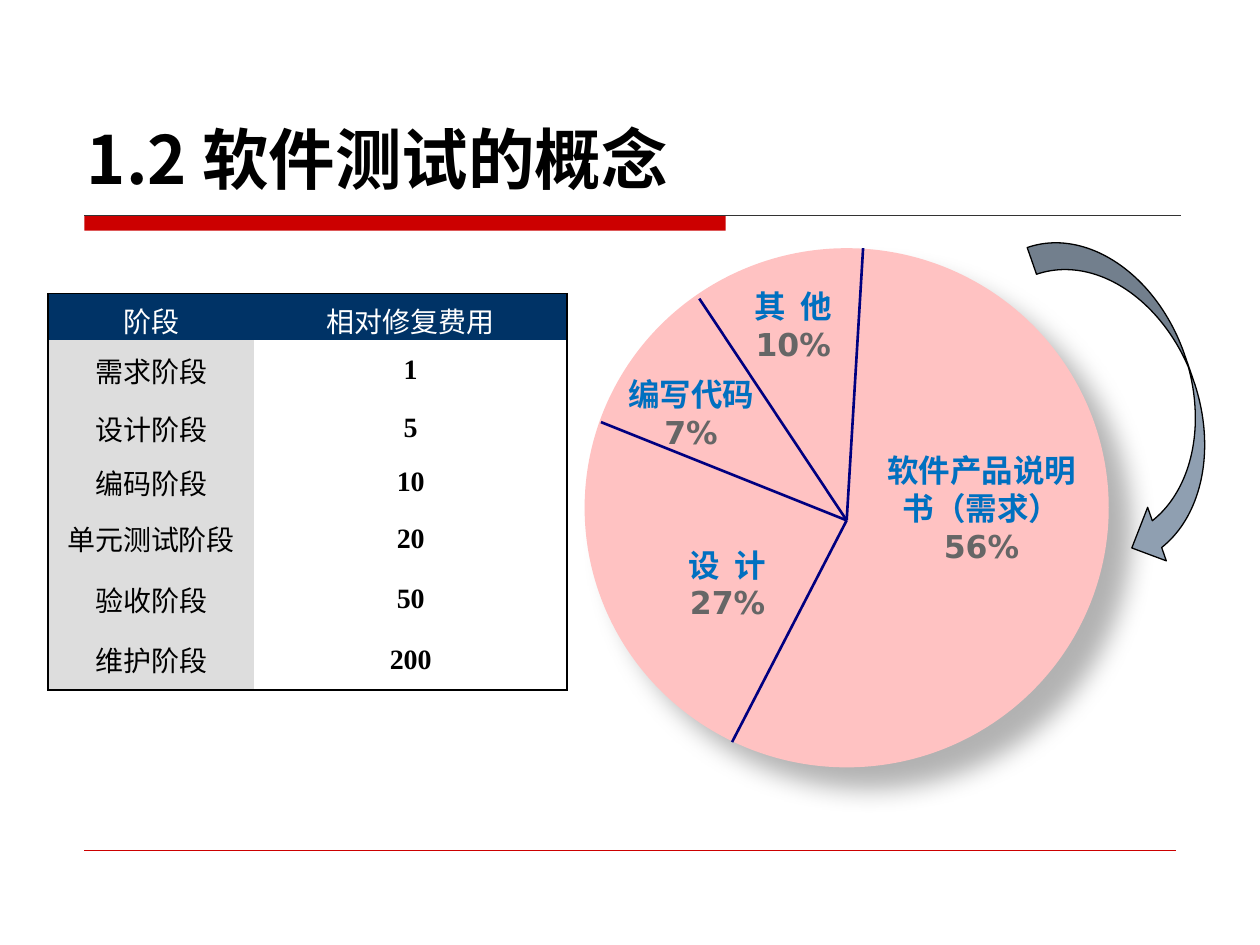
import pptx
import pptx.util
import pptx.dml.color
import pptx.enum.shapes
import pptx.enum.text
import pptx.oxml
import pptx.oxml.ns

COLORS = {"red": "CC0000", "rule": "333333", "pie": "FFC2C2", "slice": "000080",
          "label": "0070C0", "percent": "666666", "arrow": "8F9FB1", "head": "003366",
          "stage": "DDDDDD", "white": "FFFFFF", "black": "000000"}
RGB = {k: pptx.dml.color.RGBColor.from_string(v) for k, v in COLORS.items()}
CJK = "Noto Sans CJK SC"
NS = pptx.oxml.ns.nsdecls("a")
SHAPE = pptx.enum.shapes.MSO_SHAPE
CENTER = pptx.enum.text.PP_ALIGN.CENTER
MIDDLE = pptx.enum.text.MSO_ANCHOR.MIDDLE

prs = pptx.Presentation()
prs.slide_width, prs.slide_height = pptx.util.Inches(10), pptx.util.Inches(7.5)
s = prs.slides.add_slide(prs.slide_layouts[5])


def grid(*cells):
    """Lengths on a grid of 100 columns by 75 rows."""
    return [int(c * prs.slide_width / 100) for c in cells]


def write(p, text, color, **fmt):
    r = p.add_run()
    r.text = text
    r.font.color.rgb = RGB[color]
    for name, value in fmt.items():
        setattr(r.font, name, value)
    r.font._element.append(pptx.oxml.parse_xml(f'<a:ea {NS} typeface="{CJK}"/>'))


# Title
title = s.shapes.title
title.left, title.top, title.width, title.height = grid(5.9, 8.8, 50.2, 7.4)
tf = title.text_frame
tf.word_wrap = False
tf.auto_size = pptx.enum.text.MSO_AUTO_SIZE.NONE
tf.vertical_anchor = MIDDLE
p = tf.paragraphs[0]
p.alignment = pptx.enum.text.PP_ALIGN.LEFT
write(p, "1.2 软件测试的概念", "black", name=CJK, size=pptx.util.Pt(38), bold=True)

# Filled shapes: title bar, pie disc, curved arrow
shapes = {}
for key, kind, box, color in [
        ("bar", SHAPE.RECTANGLE, (6.7, 17.1, 50.9, 1.2), "red"),
        ("disc", SHAPE.OVAL, (46.4, 19.7, 41.6, 41.2), "pie"),
        ("arrow", SHAPE.CURVED_LEFT_ARROW, (85.8, 17.4, 9, 27.5), "arrow")]:
    sp = shapes[key] = s.shapes.add_shape(kind, *grid(*box))
    sp.shadow.inherit = False
    sp.fill.solid()
    sp.fill.fore_color.rgb = RGB[color]
    sp.line.fill.background()
shapes["arrow"].rotation = 340.8
shapes["arrow"].line.color.rgb = RGB["black"]
shapes["arrow"].line.width = pptx.util.Pt(0.75)
effects = shapes["disc"]._element.spPr.find(pptx.oxml.ns.qn("a:effectLst"))
effects.append(pptx.oxml.parse_xml(
    f'<a:outerShdw {NS} blurRad="{pptx.util.Pt(15)}" dist="{pptx.util.Pt(18)}" dir="2700000">'
    f'<a:srgbClr val="{COLORS["black"]}"><a:alpha val="30000"/></a:srgbClr></a:outerShdw>'))

# Rules and slice borders
hub = (67.2, 41.3)
lines = [((6.7, 17.1), (93.7, 17.1), "rule", 0.75), ((6.7, 67.5), (93.3, 67.5), "red", 0.25)]
lines += [(hub, rim, "slice", 1.5)
          for rim in [(68.5, 19.7), (58.1, 58.9), (47.7, 33.5), (55.5, 23.7)]]
for start, end, color, width in lines:
    c = s.shapes.add_connector(pptx.enum.shapes.MSO_CONNECTOR.STRAIGHT, *grid(*start, *end))
    c.line.color.rgb = RGB[color]
    c.line.width = pptx.util.Pt(width)
    c._element.spPr.append(pptx.oxml.parse_xml(f"<a:effectLst {NS}/>"))

# Slice labels
for name, share, box in [("其  他", "10%", (59.7, 22.8, 6.5, 6.2)),
                         ("软件产品说明书（需求）", "56%", (69.7, 35.8, 16.4, 9.2)),
                         ("编写代码", "7%", (49, 29.8, 11.7, 6.2)),
                         ("设  计", "27%", (52.9, 43.3, 9.7, 6.2))]:
    tf = s.shapes.add_textbox(*grid(*box)).text_frame
    tf.word_wrap = True
    for side in ("left", "top", "right", "bottom"):
        setattr(tf, f"margin_{side}", 0)
    for p, text, color in [(tf.paragraphs[0], name, "label"),
                           (tf.add_paragraph(), share, "percent")]:
        p.alignment = CENTER
        write(p, text, color, name="DejaVu Sans", size=pptx.util.Pt(18), bold=True)

# Cost table
rows = [("阶段", "相对修复费用"), ("需求阶段", "1"), ("设计阶段", "5"), ("编码阶段", "10"),
        ("单元测试阶段", "20"), ("验收阶段", "50"), ("维护阶段", "200")]
heights = grid(3.6, 4.8, 4.4, 4.2, 4.8, 4.8, 4.8)
table = s.shapes.add_table(len(rows), 2, *grid(3.8, 23.3, 41.2, 31.4)).table
for col, width in zip(table.columns, grid(16.4, 24.8)):
    col.width = width
for i, row in enumerate(rows):
    table.rows[i].height = heights[i]
    for j, text in enumerate(row):
        cell = table.cell(i, j)
        cell.vertical_anchor = MIDDLE
        cell.fill.solid()
        cell.fill.fore_color.rgb = RGB["head" if i == 0 else ("stage", "white")[j]]
        number = i > 0 and j == 1
        p = cell.text_frame.paragraphs[0]
        p.alignment = CENTER
        write(p, text, "black" if i else "white", size=pptx.util.Pt(16), bold=number,
              name="Times New Roman" if number else CJK)
        # Only the outer frame is drawn
        outer = {"L": j == 0, "R": j == 1, "T": i == 0, "B": i == len(rows) - 1}
        for k, (side, drawn) in enumerate(outer.items()):
            paint = (f'<a:solidFill><a:srgbClr val="{COLORS["black"]}"/></a:solidFill>'
                     if drawn else "<a:noFill/>")
            cell._tc.tcPr.insert(k, pptx.oxml.parse_xml(
                f'<a:ln{side} {NS} w="{pptx.util.Pt(1)}">{paint}</a:ln{side}>'))

prs.save("out.pptx")
